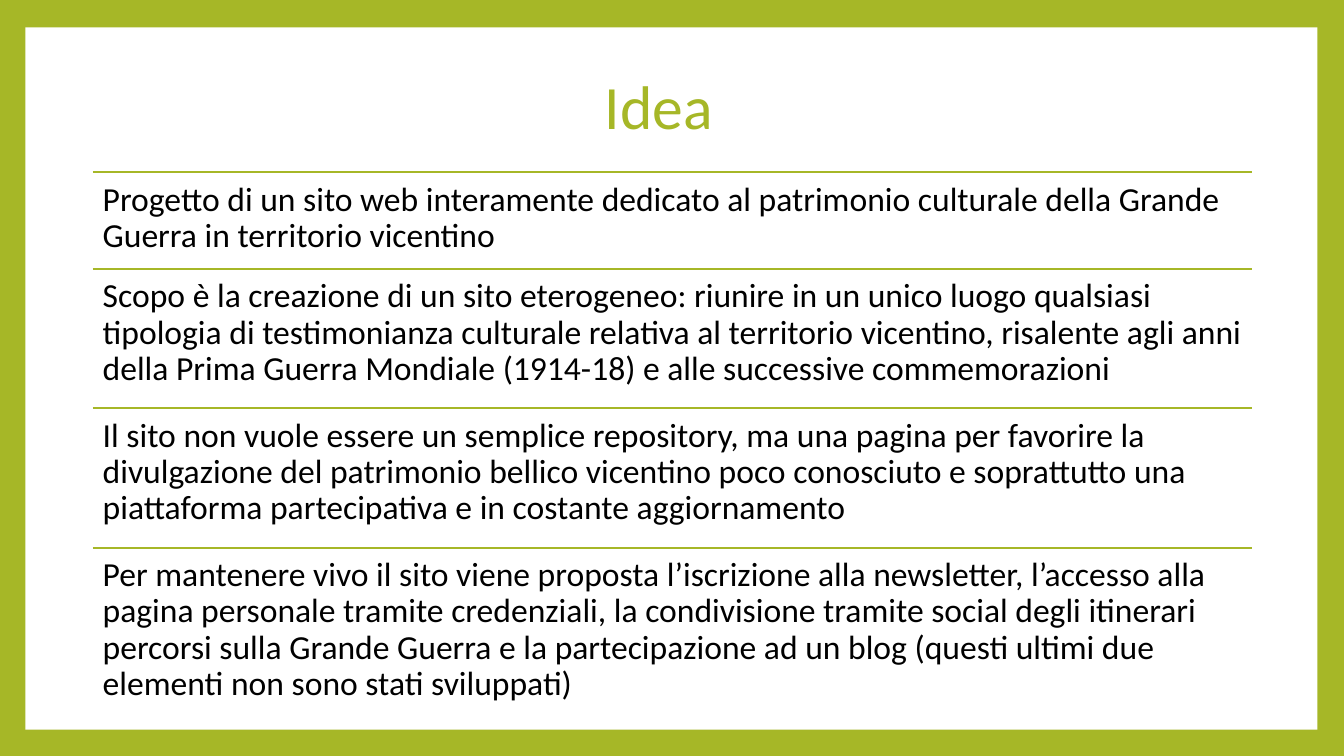
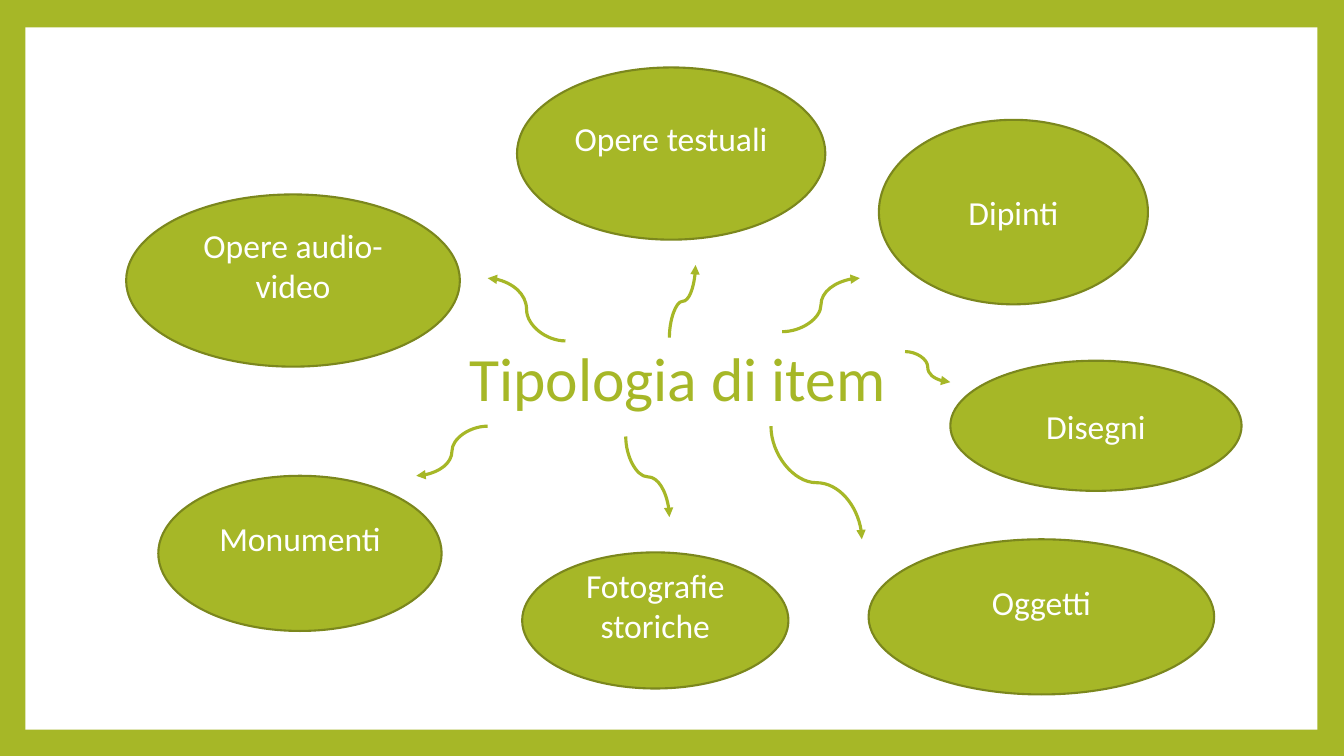
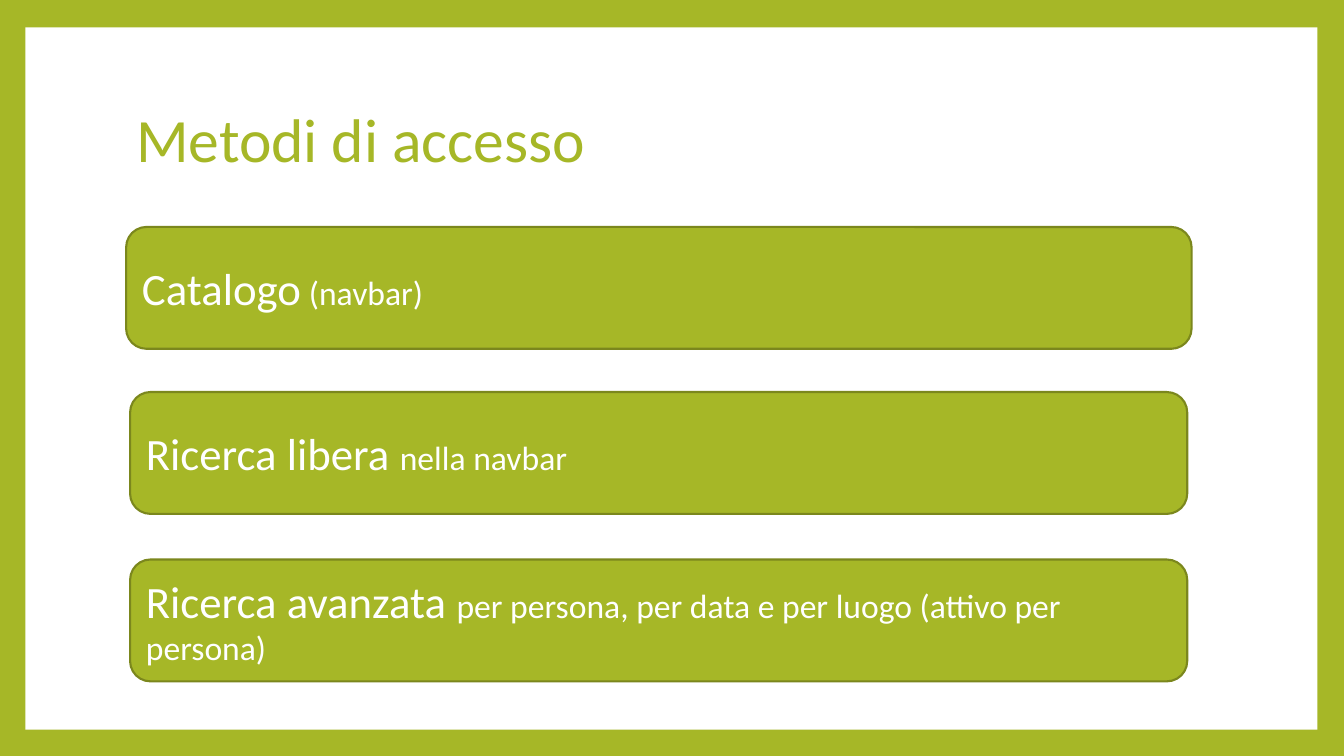
import math
import typing
import dataclasses
import pptx
import pptx.util
import pptx.dml.color
import pptx.enum.shapes
import pptx.enum.text
import pptx.oxml.ns
import lxml.etree

Cm = pptx.util.Cm
Pt = pptx.util.Pt
Form = pptx.enum.shapes.MSO_SHAPE
Wire = pptx.enum.shapes.MSO_CONNECTOR
Side = pptx.enum.text.PP_ALIGN
Hold = pptx.enum.text.MSO_ANCHOR

HUES = {"lime": "A6B727", "edge": "7B871D", "white": "FFFFFF", "black": "000000"}
FONT = "Calibri"
PAD = 0.25  # inner margin of text, cm


@dataclasses.dataclass(frozen=True)
class Box:
    left: float
    top: float
    wide: float
    high: float

    def cm(self) -> tuple:
        return Cm(self.left), Cm(self.top), Cm(self.wide), Cm(self.high)


@dataclasses.dataclass(frozen=True)
class Row:
    text: str
    high: float


@dataclasses.dataclass(frozen=True)
class Item:
    text: str
    box: Box
    lift: float = 0.0  # extra bottom margin that raises the label


@dataclasses.dataclass(frozen=True)
class Arrow:
    start: tuple[float, float]
    end: tuple[float, float]
    turn: int


@dataclasses.dataclass(frozen=True)
class Bar:
    name: str
    note: str
    box: Box


def hue(key: str) -> pptx.dml.color.RGBColor:
    return pptx.dml.color.RGBColor.from_string(HUES[key])


# Text
def put(shape: typing.Any, *runs: tuple[str, float], color: str = "white",
        align: typing.Any = Side.LEFT, hold: typing.Any = Hold.MIDDLE,
        space: float = 1.0, inset: float = 0.13, lift: float = 0.0) -> None:
    frame = shape.text_frame
    frame.word_wrap = True
    frame.auto_size = pptx.enum.text.MSO_AUTO_SIZE.NONE
    frame.vertical_anchor = hold
    frame.margin_left = frame.margin_right = Cm(PAD)
    frame.margin_top = Cm(inset)
    frame.margin_bottom = Cm(inset + lift)
    para = frame.paragraphs[0]
    para.alignment = align
    para.line_spacing = space
    for text, size in runs:
        run = para.add_run()
        run.text = text
        run.font.name = FONT
        run.font.size = Pt(size)
        run.font.color.rgb = hue(color)


# Shapes and lines
def block(slide: typing.Any, form: typing.Any, box: Box,
          fill: str = "lime", edge: str | None = "edge") -> typing.Any:
    shape = slide.shapes.add_shape(form, *box.cm())
    shape.shadow.inherit = False
    shape.fill.solid()
    shape.fill.fore_color.rgb = hue(fill)
    if edge:
        shape.line.color.rgb = hue(edge)
        shape.line.width = Pt(1.5)
    else:
        shape.line.fill.background()
    return shape


def link(slide: typing.Any, kind: typing.Any, start: tuple[float, float],
         end: tuple[float, float], width: float) -> typing.Any:
    line = slide.shapes.add_connector(kind, *(Cm(v) for v in start + end))
    line.line.color.rgb = hue("lime")
    line.line.width = Pt(width)
    lxml.etree.SubElement(line.element.spPr, pptx.oxml.ns.qn("a:effectLst"))
    return line


def curve(slide: typing.Any, arrow: Arrow) -> None:
    # Turn the end points back about their centre, then rotate the line
    (x1, y1), (x2, y2) = arrow.start, arrow.end
    mid_x, mid_y = (x1 + x2) / 2, (y1 + y2) / 2
    half_x, half_y = (x2 - x1) / 2, (y2 - y1) / 2
    angle = math.radians(arrow.turn)
    cos, sin = math.cos(angle), math.sin(angle)
    u, v = half_x * cos + half_y * sin, half_y * cos - half_x * sin
    line = link(slide, Wire.CURVE, (mid_x - u, mid_y - v), (mid_x + u, mid_y + v), 2.25)
    line.element.spPr.find(pptx.oxml.ns.qn("a:xfrm")).set("rot", str(arrow.turn * 60000))
    tail = lxml.etree.SubElement(line.line._get_or_add_ln(), pptx.oxml.ns.qn("a:tailEnd"))
    tail.set("type", "triangle")


# Shared look
deck = pptx.Presentation()
deck.slide_width, deck.slide_height = Cm(33.87), Cm(19.05)


def page(title: str, box: Box) -> typing.Any:
    slide = deck.slides.add_slide(deck.slide_layouts[5])
    head = slide.shapes.title
    head.left, head.top, head.width, head.height = box.cm()
    put(head, (title, 44), color="lime", space=0.9)
    return slide


def dress(slide: typing.Any) -> None:
    master = deck.slide_master
    master.background.fill.solid()
    master.background.fill.fore_color.rgb = hue("lime")
    panel = block(slide, Form.RECTANGLE, Box(0.64, 0.69, 32.56, 17.7), "white", None)
    master.shapes.element.insert(2, panel.element)


# Slide 1: idea
ROWS = [
    Row("Progetto di un sito web interamente dedicato al patrimonio culturale della "
        "Grande Guerra in territorio vicentino", 2.44),
    Row("Scopo è la creazione di un sito eterogeneo: riunire in un unico luogo qualsiasi "
        "tipologia di testimonianza culturale relativa al territorio vicentino, risalente "
        "agli anni della Prima Guerra Mondiale (1914-18) e alle successive "
        "commemorazioni", 3.51),
    Row("Il sito non vuole essere un semplice repository, ma una pagina per favorire la "
        "divulgazione del patrimonio bellico vicentino poco conosciuto e soprattutto una "
        "piattaforma partecipativa e in costante aggiornamento", 3.51),
    Row("Per mantenere vivo il sito viene proposta l’iscrizione alla newsletter, l’accesso "
        "alla pagina personale tramite credenziali, la condivisione tramite social degli "
        "itinerari percorsi sulla Grande Guerra e la partecipazione ad un blog (questi "
        "ultimi due elementi non sono stati sviluppati)", 4.24),
]
LEFT, WIDE = 2.34, 29.21

idea = page("Idea", Box(14.99, 1.7, 15.62, 2.13))
dress(idea)
top = 4.34
for row in ROWS:
    link(idea, Wire.STRAIGHT, (LEFT, top), (LEFT + WIDE, top), 1.5)
    field = idea.shapes.add_textbox(*Box(LEFT, top, WIDE, row.high).cm())
    put(field, (row.text, 24), color="black", hold=Hold.TOP, space=0.9, inset=PAD)
    top += row.high

# Slide 2: kinds of item
LIFT = 0.77
ITEMS = [
    Item("Dipinti", Box(22.15, 3.02, 6.78, 4.65)),
    Item("Disegni", Box(23.95, 9.09, 7.34, 3.28)),
    Item("Monumenti", Box(3.99, 11.99, 7.14, 3.91), LIFT),
    Item("Opere audio-video", Box(3.18, 4.9, 8.41, 4.34), LIFT),
    Item("Fotografie storiche", Box(13.16, 13.92, 6.71, 3.43), LIFT),
    Item("Opere testuali", Box(13.03, 1.7, 7.77, 4.34), LIFT),
    Item("Oggetti", Box(21.89, 13.59, 8.71, 3.91), LIFT),
]
ARROWS = [
    Arrow((16.87, 8.51), (17.53, 6.68), 90),
    Arrow((22.81, 8.86), (23.95, 9.63), 0),
    Arrow((12.29, 10.74), (10.49, 11.99), 180),
    Arrow((15.77, 11.0), (16.87, 13.03), 270),
    Arrow((19.43, 10.74), (21.72, 13.59), 270),
    Arrow((19.71, 8.36), (21.67, 7.01), 0),
    Arrow((14.25, 8.59), (12.29, 7.01), 180),
]

kinds = page("Tipologia di item", Box(11.58, 4.39, 19.02, 10.46))
for item in ITEMS:
    oval = block(kinds, Form.OVAL, item.box)
    put(oval, (item.text, 24), align=Side.CENTER, lift=item.lift)
for arrow in ARROWS:
    curve(kinds, arrow)

# Slide 3: ways of access
BARS = [
    Bar("Catalogo", " (navbar)", Box(3.18, 5.72, 26.85, 3.07)),
    Bar("Ricerca libera ", "nella navbar", Box(3.28, 9.88, 26.64, 3.07)),
    Bar("Ricerca avanzata ", "per persona, per data e per luogo (attivo per persona)",
        Box(3.28, 14.1, 26.64, 3.07)),
]

access = page("Metodi di accesso", Box(3.18, 1.7, 27.43, 3.76))
for bar in BARS:
    panel = block(access, Form.ROUNDED_RECTANGLE, bar.box)
    put(panel, (bar.name, 32), (bar.note, 24))

deck.save("out.pptx")
